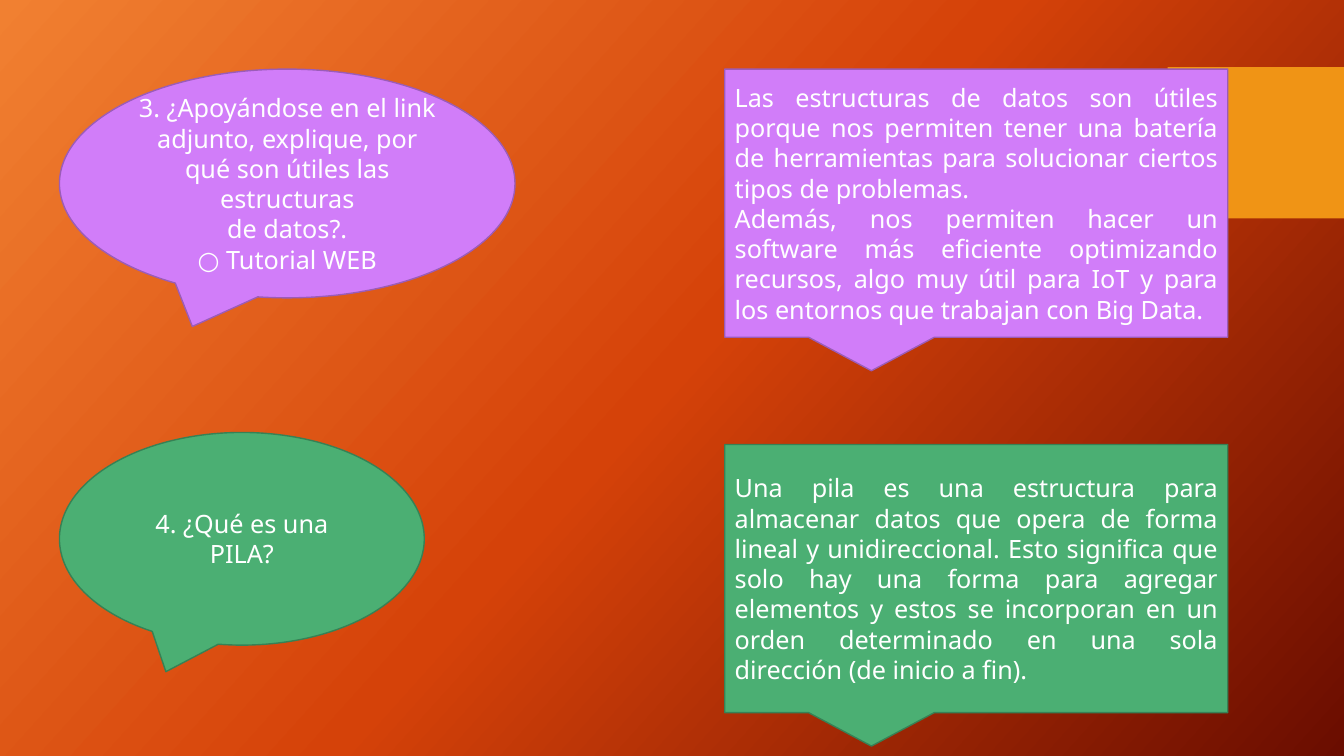
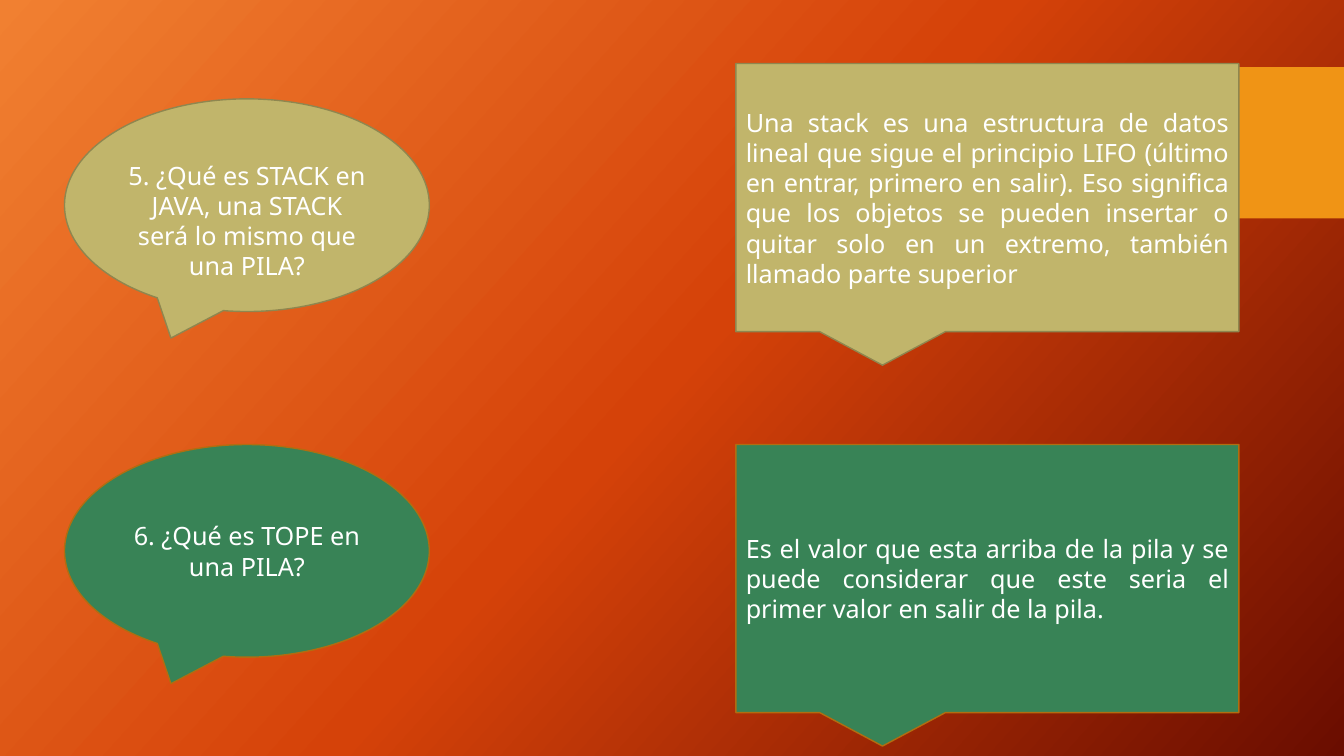
from copy import deepcopy

from pptx import Presentation
from pptx.dml.color import RGBColor
from pptx.enum.shapes import MSO_SHAPE
from pptx.enum.text import MSO_ANCHOR, PP_ALIGN
from pptx.oxml.ns import qn
from pptx.util import Pt

# Colours and shared formats
WHITE = RGBColor(0xFF, 0xFF, 0xFF)
AMBER = RGBColor(0xF0, 0x94, 0x15)
BACKGROUND = [RGBColor(0xF1, 0x80, 0x31), RGBColor(0xD5, 0x42, 0x09), RGBColor(0x6A, 0x0D, 0x00)]
VIOLET = (RGBColor(0xD1, 0x7D, 0xF9), RGBColor(0x9B, 0x5C, 0xB8))
GREEN = (RGBColor(0x4B, 0xAF, 0x73), RGBColor(0x37, 0x81, 0x55))
SAND = (RGBColor(0xC1, 0xB5, 0x6B), RGBColor(0x8F, 0x86, 0x4F))
FOREST = (RGBColor(0x38, 0x83, 0x56), RGBColor(0xB2, 0x6D, 0x10))

FONT = {"name": "Noto Sans", "size": Pt(18)}
LINE_SPACING = Pt(21.6)
SMALL_BUBBLE = (260.6, 151.9)
LARGE_BUBBLE = (325.4, 163.4)
ANSWER_SIZE = (359.3, 191.5)
MARGIN_TOP = 3.6

# Each row: colours, question (top, size, top margin, text), answer (top, text)
SLIDES = [
    {"question_left": 42.5, "answer_left": 517.7, "rows": [
        (VIOLET,
         (49.4, LARGE_BUBBLE, MARGIN_TOP,
          ["3. ¿Apoyándose en el link adjunto, explique, por qué son útiles las estructuras",
           "de datos?.",
           "○ Tutorial WEB"]),
         (49.4,
          ["Las estructuras de datos son útiles porque nos permiten tener una batería de "
           "herramientas para solucionar ciertos tipos de problemas.",
           "Además, nos permiten hacer un software más eficiente optimizando recursos, algo "
           "muy útil para IoT y para los entornos que trabajan con Big Data."])),
        (GREEN,
         (308.9, SMALL_BUBBLE, MARGIN_TOP, ["4. ¿Qué es una PILA?"]),
         (317.5,
          ["Una pila es una estructura para almacenar datos que opera de forma lineal y "
           "unidireccional. Esto significa que solo hay una forma para agregar elementos y "
           "estos se incorporan en un orden determinado en una sola dirección (de inicio a "
           "fin)."])),
    ]},
    {"question_left": 46.1, "answer_left": 525.6, "rows": [
        (SAND,
         (70.6, SMALL_BUBBLE, MARGIN_TOP + 21.6,
          ["5. ¿Qué es STACK en JAVA, una STACK será lo mismo que una PILA?"]),
         (45.4,
          ["Una stack es una estructura de datos lineal que sigue el principio LIFO (último "
           "en entrar, primero en salir). Eso significa que los objetos se pueden insertar o "
           "quitar solo en un extremo, también llamado parte superior"])),
        (FOREST,
         (317.5, SMALL_BUBBLE, MARGIN_TOP, ["6. ¿Qué es TOPE en una PILA?"]),
         (317.5,
          ["Es el valor que esta arriba de la pila y se puede considerar que este seria el "
           "primer valor en salir de la pila."])),
    ]},
]


def add_filled_shape(slide, preset, left, top, size, fill_color):
    shape = slide.shapes.add_shape(preset, Pt(left), Pt(top), Pt(size[0]), Pt(size[1]))
    shape.shadow.inherit = False
    shape.fill.solid()
    shape.fill.fore_color.rgb = fill_color
    return shape


def add_callout(slide, preset, left, top, size, colors, texts, alignment, margin_top=MARGIN_TOP):
    shape = add_filled_shape(slide, preset, left, top, size, colors[0])
    shape.line.color.rgb = colors[1]
    shape.line.width = Pt(1)
    frame = shape.text_frame
    frame.word_wrap = True
    frame.vertical_anchor = MSO_ANCHOR.MIDDLE
    frame.margin_top = Pt(margin_top)
    frame.text = "\n".join(texts)
    for paragraph in frame.paragraphs:
        paragraph.alignment = alignment
        paragraph.line_spacing = LINE_SPACING
        font = paragraph.runs[0].font
        for attribute, value in FONT.items():
            setattr(font, attribute, value)
        font.color.rgb = WHITE


presentation = Presentation()
presentation.slide_width = Pt(960)
presentation.slide_height = Pt(540)
master = presentation.slide_master
blank_layout = presentation.slide_layouts[6]

# Three-stop gradient background on the master
background_fill = master.background.fill
background_fill.gradient()
background_fill.gradient_angle = 360 - 42
stop_list = master.element.find(".//" + qn("p:bg")).find(".//" + qn("a:gsLst"))
stop_list.append(deepcopy(stop_list[0]))
for index, (stop, color) in enumerate(zip(background_fill.gradient_stops, BACKGROUND)):
    stop.position = index / 2
    stop.color.rgb = color

# Questions on the left, answers on the right
for content in SLIDES:
    slide = presentation.slides.add_slide(blank_layout)
    for colors, question, answer in content["rows"]:
        question_top, bubble_size, margin_top, question_texts = question
        answer_top, answer_texts = answer
        add_callout(slide, MSO_SHAPE.OVAL_CALLOUT, content["question_left"], question_top,
                    bubble_size, colors, question_texts, PP_ALIGN.CENTER, margin_top)
        add_callout(slide, MSO_SHAPE.RECTANGULAR_CALLOUT, content["answer_left"], answer_top,
                    ANSWER_SIZE, colors, answer_texts, PP_ALIGN.JUSTIFY)

# Amber tab, moved to the master so that both slides share it
tab = add_filled_shape(presentation.slides[0], MSO_SHAPE.RECTANGLE, 834, 48, (126, 108), AMBER)
tab.line.fill.background()
master.shapes.element.append(tab.element)

presentation.save("out.pptx")
